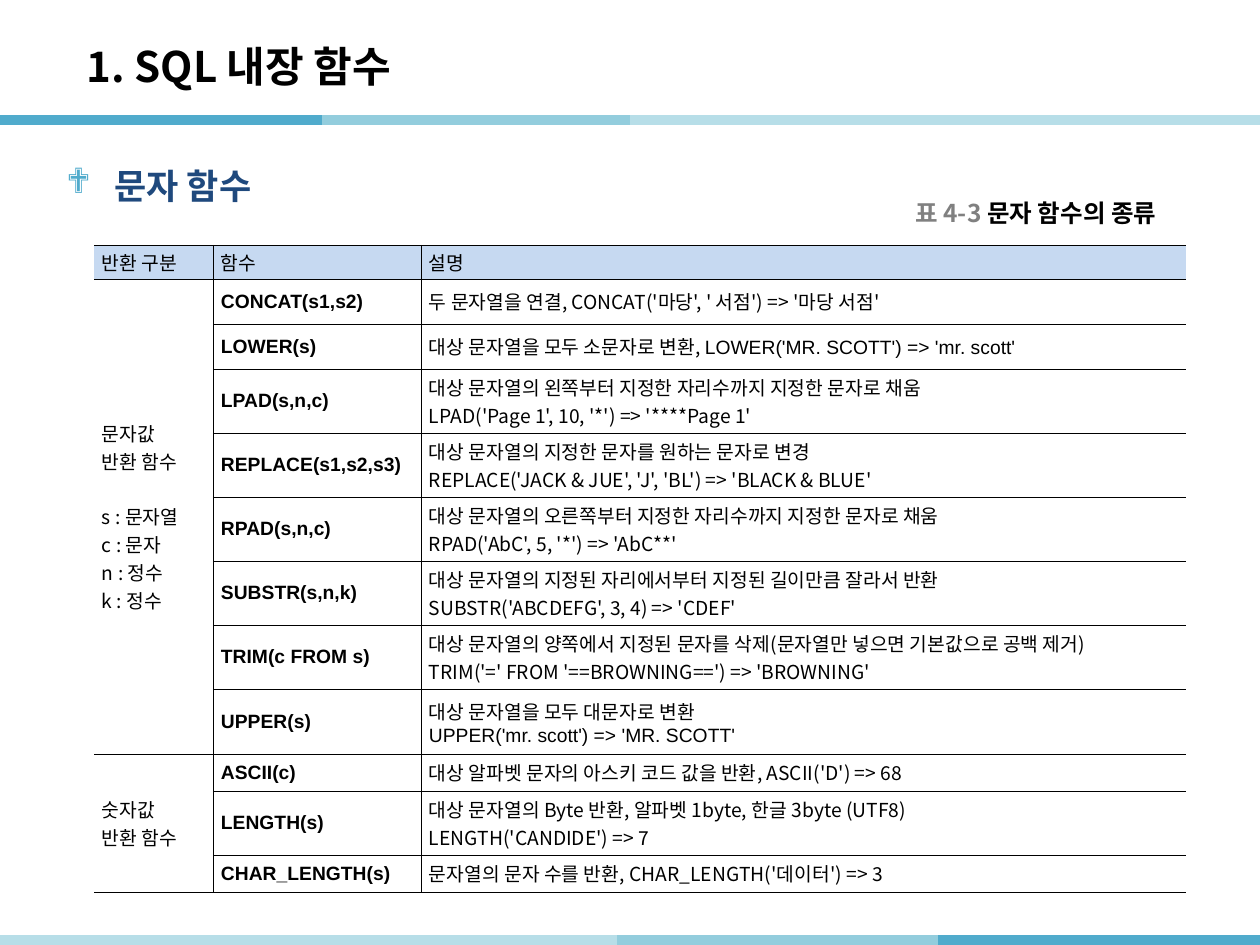
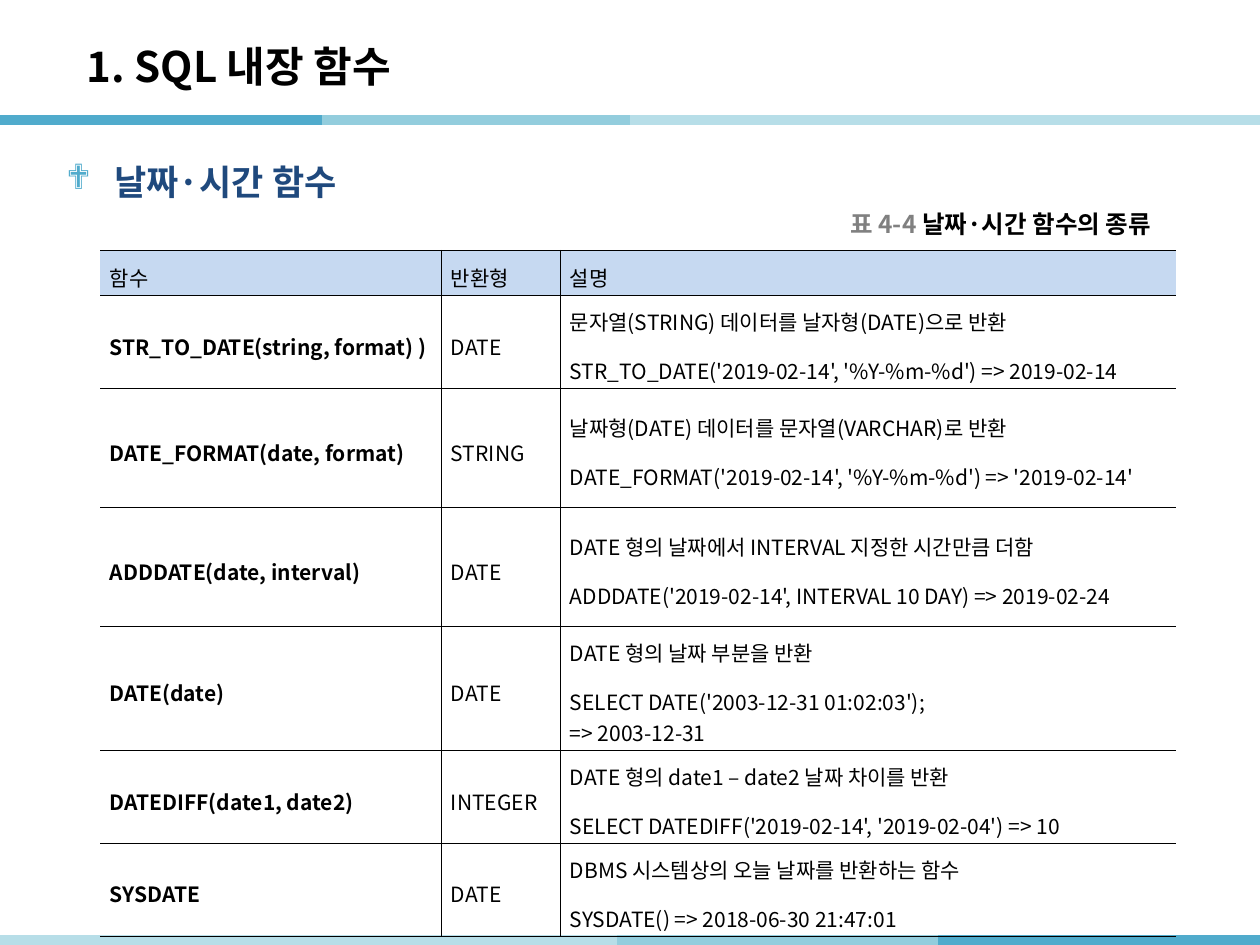
from dataclasses import dataclass

from pptx import Presentation
from pptx import util as u
from pptx.dml import color
from pptx.enum import shapes, text
from pptx.oxml import ns, xmlchemy


@dataclass(frozen=True)
class Theme:
    strong: str = "50ABCC"
    medium: str = "93CDDD"
    pale: str = "B7DEE8"
    ink: str = "000000"
    grey: str = "808080"
    navy: str = "1F497D"
    header: str = "C6D9F1"
    font: str = "Noto Sans CJK KR"
    code_font: str = "Arial"
    bullet_font: str = "Wingdings"
    title_size: int = 24
    heading_size: int = 20
    caption_size: int = 14
    band_width: int = 6
    rule_width: float = 0.28


theme = Theme()


def px(value):
    return u.Emu(round(value * 914400 / 126))


def write(paragraph, words, size, ink=theme.ink, bold=True, face=theme.font):
    run = paragraph.add_run()
    run.text = words
    for key, value in {"size": u.Pt(size), "bold": bold, "name": face}.items():
        setattr(run.font, key, value)
    run.font.color.rgb = color.RGBColor.from_string(ink)
    east_asian = xmlchemy.OxmlElement("a:ea")
    east_asian.set("typeface", theme.font)
    run.font._element.find(ns.qn("a:latin")).addnext(east_asian)


bands = [
    (0, 322, 120, theme.strong),
    (322, 645, 120, theme.medium),
    (630, 952, 120, theme.pale),
    (940, 1260, 120, theme.pale),
    (1260, 938, 940, theme.strong),
    (938, 615, 940, theme.medium),
    (617, 295, 940, theme.pale),
    (0, 322, 940, theme.pale),
]

string_functions = [
    ("반환 구분", "함수", "설명"),
    ("문자값\n반환 함수\n\ns : 문자열\nc : 문자\nn : 정수\nk : 정수", "CONCAT(s1,s2)",
     "두 문자열을 연결, CONCAT('마당', ' 서점') => '마당 서점'"),
    ("", "LOWER(s)", "대상 문자열을 모두 소문자로 변환, |LOWER('MR. SCOTT') => 'mr. scott'"),
    ("", "LPAD(s,n,c)",
     "대상 문자열의 왼쪽부터 지정한 자리수까지 지정한 문자로 채움\nLPAD('Page 1', 10, '*') => '****Page 1'"),
    ("", "REPLACE(s1,s2,s3)",
     "대상 문자열의 지정한 문자를 원하는 문자로 변경\nREPLACE('JACK & JUE', 'J', 'BL') => 'BLACK & BLUE'"),
    ("", "RPAD(s,n,c)",
     "대상 문자열의 오른쪽부터 지정한 자리수까지 지정한 문자로 채움\nRPAD('AbC', 5, '*') => 'AbC**'"),
    ("", "SUBSTR(s,n,k)",
     "대상 문자열의 지정된 자리에서부터 지정된 길이만큼 잘라서 반환\nSUBSTR('ABCDEFG', 3, 4) => 'CDEF'"),
    ("", "TRIM(c FROM s)",
     "대상 문자열의 양쪽에서 지정된 문자를 삭제(문자열만 넣으면 기본값으로 공백 제거)\n"
     "TRIM('=' FROM '==BROWNING==') => 'BROWNING'"),
    ("", "UPPER(s)", "대상 문자열을 모두 대문자로 변환\n|UPPER('mr. scott') => 'MR. SCOTT'"),
    ("숫자값\n반환 함수", "ASCII(c)", "대상 알파벳 문자의 아스키 코드 값을 반환, ASCII('D') => 68"),
    ("", "LENGTH(s)",
     "대상 문자열의 Byte 반환, 알파벳 1byte, 한글 3byte (UTF8)\nLENGTH('CANDIDE') => 7"),
    ("", "CHAR_LENGTH(s)", "문자열의 문자 수를 반환, CHAR_LENGTH('데이터') => 3"),
]

date_functions = [
    ("함수", "반환형", "설명"),
    ("STR_TO_DATE(string, format) )", "DATE",
     "문자열(STRING) 데이터를 날자형(DATE)으로 반환\nSTR_TO_DATE('2019-02-14', '%Y-%m-%d') => 2019-02-14"),
    ("DATE_FORMAT(date, format)", "STRING",
     "날짜형(DATE) 데이터를 문자열(VARCHAR)로 반환\nDATE_FORMAT('2019-02-14', '%Y-%m-%d') => '2019-02-14'"),
    ("ADDDATE(date, interval)", "DATE",
     "DATE 형의 날짜에서 INTERVAL 지정한 시간만큼 더함\nADDDATE('2019-02-14', INTERVAL 10 DAY) => 2019-02-24"),
    ("DATE(date)", "DATE",
     "DATE 형의 날짜 부분을 반환\nSELECT DATE('2003-12-31 01:02:03');\n=> 2003-12-31"),
    ("DATEDIFF(date1, date2)", "INTEGER",
     "DATE 형의 date1 – date2 날짜 차이를 반환\nSELECT DATEDIFF('2019-02-14', '2019-02-04') => 10"),
    ("SYSDATE", "DATE",
     "DBMS 시스템상의 오늘 날짜를 반환하는 함수\nSYSDATE() => 2018-06-30 21:47:01"),
]

topics = [
    {
        "heading": "문자 함수", "heading_box": (54, 149, 1111, 72),
        "number": "표 4-3 ", "caption": "문자 함수의 종류", "caption_box": (903, 193, 290, 39),
        "rows": string_functions, "corner": (94, 245), "columns": (119, 208, 765),
        "heights": (34, 45, 45, *[64] * 5, 65, 37, 64, 37), "merges": [(1, 8), (9, 11)],
        "name_column": 1, "name_font": theme.code_font, "size": 11,
        "insets": (8, 2), "spacing": (1, 1, 1),
    },
    {
        "heading": "날짜·시간 함수", "heading_box": (54, 145, 694, 72),
        "number": "표 4-4 ", "caption": "날짜·시간 함수의 종류", "caption_box": (838, 204, 364, 39),
        "rows": date_functions, "corner": (100, 250), "columns": (341, 119, 616),
        "heights": (45, 93, 119, 119, 124, 93, 93), "merges": [],
        "name_column": 0, "name_font": theme.font, "size": 12,
        "insets": (10, 2), "spacing": (1.3, 1.6, 1),
    },
]

deck = Presentation()
deck.slide_width, deck.slide_height = px(1260), px(945)

for topic in topics:
    slide = deck.slides.add_slide(deck.slide_layouts[5])

    for start, end, y, ink in bands:
        band = slide.shapes.add_connector(
            shapes.MSO_CONNECTOR.STRAIGHT, px(start), px(y), px(end), px(y))
        band.line.color.rgb = color.RGBColor.from_string(ink)
        band.line.width = u.Pt(theme.band_width)
        band._element.spPr.append(xmlchemy.OxmlElement("a:effectLst"))

    title = slide.shapes.title
    for key, value in zip(("left", "top", "width", "height"), (74, 28, 1042, 76)):
        setattr(title, key, px(value))
    heading = slide.shapes.add_textbox(*map(px, topic["heading_box"]))
    caption = slide.shapes.add_textbox(*map(px, topic["caption_box"]))
    layout = {
        "word_wrap": True,
        "auto_size": text.MSO_AUTO_SIZE.NONE,
        "vertical_anchor": text.MSO_ANCHOR.MIDDLE,
    }
    for box in (title, heading, caption):
        for key, value in layout.items():
            setattr(box.text_frame, key, value)
        box.text_frame.paragraphs[0].alignment = text.PP_ALIGN.LEFT

    write(title.text_frame.paragraphs[0], "1. SQL 내장 함수", theme.title_size)

    heading_line = heading.text_frame.paragraphs[0]
    properties = heading_line._p.get_or_add_pPr()
    properties.set("marL", str(px(48)))
    properties.set("indent", str(-px(48)))
    bullet_color = xmlchemy.OxmlElement("a:buClr")
    bullet_ink = xmlchemy.OxmlElement("a:srgbClr")
    bullet_ink.set("val", theme.strong)
    bullet_color.append(bullet_ink)
    bullet_font = xmlchemy.OxmlElement("a:buFont")
    bullet_font.set("typeface", theme.bullet_font)
    bullet = xmlchemy.OxmlElement("a:buChar")
    bullet.set("char", "❖")
    properties.extend([bullet_color, bullet_font, bullet])
    write(heading_line, topic["heading"], theme.heading_size, theme.navy)

    caption_line = caption.text_frame.paragraphs[0]
    write(caption_line, topic["number"], theme.caption_size, theme.grey)
    write(caption_line, topic["caption"], theme.caption_size)

    rows, widths, heights = topic["rows"], topic["columns"], topic["heights"]
    functions = slide.shapes.add_table(
        len(rows), len(widths), *map(px, (*topic["corner"], sum(widths), sum(heights)))).table
    functions.first_row = functions.horz_banding = False
    for column, width in zip(functions.columns, widths):
        column.width = px(width)
    for row, height in zip(functions.rows, heights):
        row.height = px(height)
    for first, last in topic["merges"]:
        functions.cell(first, 0).merge(functions.cell(last, 0))

    side, edge = map(px, topic["insets"])
    cell_format = {
        "margin_left": side, "margin_right": side, "margin_top": edge, "margin_bottom": edge,
        "vertical_anchor": text.MSO_ANCHOR.MIDDLE,
    }
    for r, row in enumerate(rows):
        for c, content in enumerate(row):
            cell = functions.cell(r, c)
            for key, value in cell_format.items():
                setattr(cell, key, value)

            ruled = {"L": c > 0, "R": c < len(row) - 1, "T": True, "B": True}
            for border, visible in ruled.items():
                rule = xmlchemy.OxmlElement(f"a:ln{border}")
                rule.set("w", str(u.Pt(theme.rule_width)))
                paint = xmlchemy.OxmlElement("a:solidFill" if visible else "a:noFill")
                if visible:
                    rule_ink = xmlchemy.OxmlElement("a:srgbClr")
                    rule_ink.set("val", theme.ink)
                    paint.append(rule_ink)
                rule.append(paint)
                cell._tc.get_or_add_tcPr().append(rule)

            if r == 0:
                cell.fill.solid()
                cell.fill.fore_color.rgb = color.RGBColor.from_string(theme.header)
            else:
                cell.fill.background()

            if not content:
                continue
            is_name = r > 0 and c == topic["name_column"]
            face = topic["name_font"] if is_name else theme.font
            line_number = 0
            for block_number, block in enumerate(content.split("\n\n")):
                for position, line in enumerate(block.split("\n")):
                    frame = cell.text_frame
                    paragraph = frame.add_paragraph() if line_number else frame.paragraphs[0]
                    paragraph.alignment = text.PP_ALIGN.JUSTIFY
                    paragraph.line_spacing = topic["spacing"][min(line_number, 2)]
                    if block_number and position == 0:
                        paragraph.space_before = u.Pt(16)
                    plain, _, code = line.partition("|")
                    for words, run_face in ((plain, face), (code, theme.code_font)):
                        if words:
                            write(paragraph, words, topic["size"], bold=is_name, face=run_face)
                    line_number += 1

deck.save("out.pptx")
